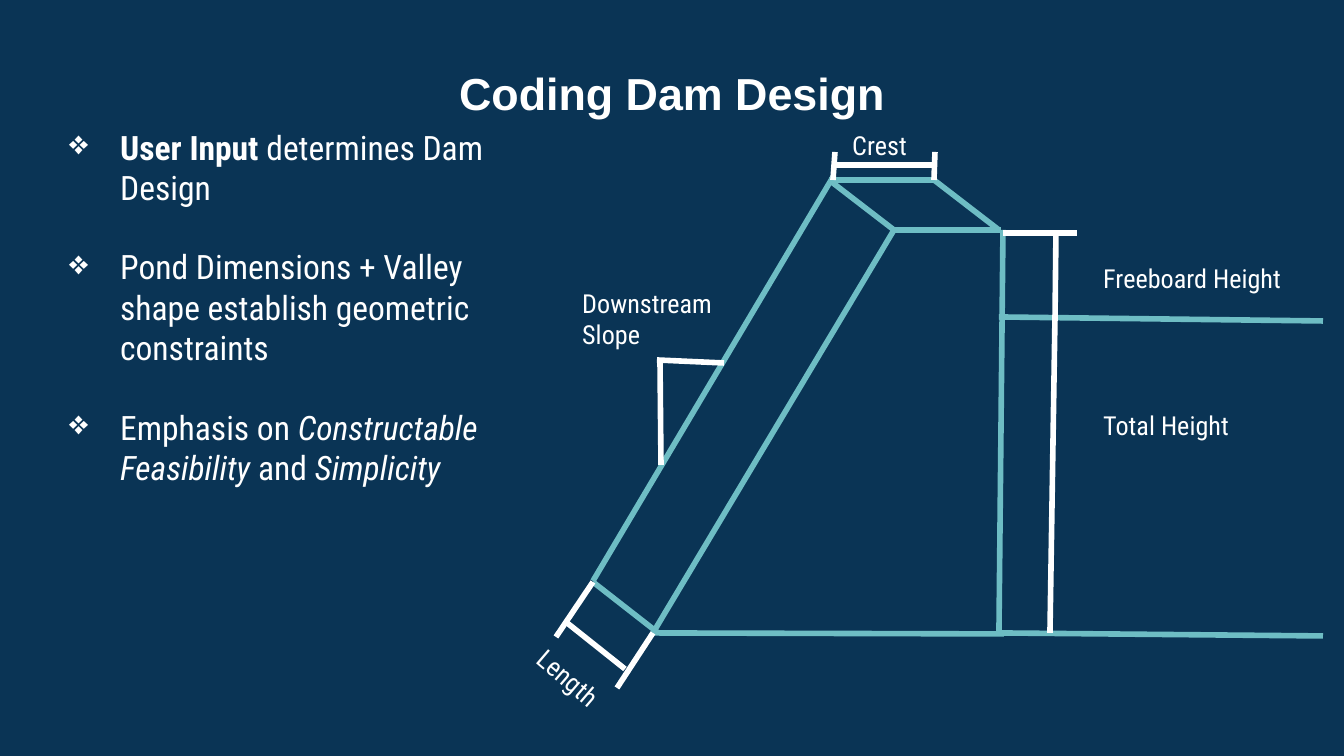
from lxml import etree
from pptx import Presentation
from pptx import util as u
from pptx.dml.color import RGBColor
from pptx.enum import shapes, text
from pptx.oxml.ns import qn

PX = 914400 / 134.4
NAVY = RGBColor(0x0A, 0x34, 0x55)
TEAL = RGBColor(0x6E, 0xBD, 0xC4)
WHITE = RGBColor(0xFF, 0xFF, 0xFF)
BODY_FONT = "Roboto Condensed"

DAM_EDGES = [
    (1003, 230, 999, 633),    # upstream face
    (1001, 230, 894, 230),    # front of crest
    (653, 633, 894, 230),     # front of downstream face
    (653, 633, 1004, 634),    # base
    (657, 632, 593, 582),     # toe
    (894, 230, 829, 180),     # left side of crest
    (999, 230, 934, 180),     # right side of crest
    (937, 180, 829, 180),     # back of crest
    (593, 581, 833, 177),     # back of downstream face
    (1323, 321, 999, 317),    # water level
    (1323, 636, 999, 633),    # pond floor
]
DIMENSION_LINES = [
    (1055, 321, 1056, 231),   # freeboard height
    (1003, 233, 1077, 233),   # top of dam
    (1050, 633, 1055, 317),   # rest of total height
    (617, 688, 653, 633),     # length, front tick
    (556, 637, 593, 582),     # length, back tick
    (566, 622, 625, 669),     # length
    (657, 360, 724, 363),     # slope run
    (660, 360, 661, 465),     # slope rise
    (934, 180, 935, 152),     # crest, right tick
    (833, 180, 835, 152),     # crest, left tick
    (836, 165, 935, 165),     # crest
]
LABELS = [
    ("Freeboard Height", (1090, 249, 219, 50), 0),
    ("Total Height", (1090, 396, 219, 50), 0),
    ("Length", (521, 653, 108, 50), 40.5),
    ("Downstream Slope", (569, 274, 208, 50), 0),
    ("Crest", (839, 116, 101, 28), 0),
]
POINTS = [
    [("User Input", "b"), (" determines Dam Design", "")],
    [("Pond Dimensions + Valley shape establish geometric constraints", "")],
    [("Emphasis on ", ""), ("Constructable Feasibility", "i"),
     (" and ", ""), ("Simplicity", "i")],
]


def px(n):
    return u.Emu(round(n * PX))


def add_line(s, ends, color):
    c = s.shapes.add_connector(shapes.MSO_CONNECTOR.STRAIGHT, *map(px, ends))
    c.line.color.rgb = color
    c.line.width = u.Pt(3)
    etree.SubElement(c._element.spPr, qn("a:effectLst"))


def add_bullet(p):
    pPr = p._p.get_or_add_pPr()
    pPr.set("marL", str(px(67)))
    pPr.set("indent", str(px(-51)))
    color = etree.SubElement(pPr, qn("a:buClr"))
    etree.SubElement(color, qn("a:srgbClr"), val=str(WHITE))
    etree.SubElement(pPr, qn("a:buChar"), char="❖")


def add_text(s, paragraphs, box, size=14, font=BODY_FONT, align=None,
             bullets=False, gap=0, rotation=0):
    """Add a text box; each paragraph is a list of (words, style) runs."""
    sp = s.shapes.add_textbox(*map(px, box))
    sp.rotation = rotation
    tf = sp.text_frame
    tf.word_wrap = True
    tf.vertical_anchor = text.MSO_ANCHOR.TOP
    tf.margin_left = tf.margin_right = u.Inches(0.1)
    tf.margin_top = tf.margin_bottom = u.Inches(0.1)
    for i, runs in enumerate(paragraphs):
        p = tf.add_paragraph() if i else tf.paragraphs[0]
        if bullets:
            add_bullet(p)
        if align is not None:
            p.alignment = align
        if i:
            p.space_before = u.Pt(gap)
        for words, style in runs:
            r = p.add_run()
            r.text = words
            r.font.name = font
            r.font.size = u.Pt(size)
            r.font.color.rgb = WHITE
            r.font.bold = style == "b"
            r.font.italic = style == "i"


def main():
    prs = Presentation()
    prs.slide_width, prs.slide_height = px(1344), px(756)
    s = prs.slides.add_slide(prs.slide_layouts[6])
    s.background.fill.solid()
    s.background.fill.fore_color.rgb = NAVY

    add_text(s, [[("Coding Dam Design", "b")]], (289, 52, 766, 138),
             size=24, font="Arial", align=text.PP_ALIGN.CENTER)
    add_text(s, POINTS, (40, 113, 474, 374), size=18, bullets=True, gap=21)
    for ends in DAM_EDGES:
        add_line(s, ends, TEAL)
    for ends in DIMENSION_LINES:
        add_line(s, ends, WHITE)
    for words, box, rotation in LABELS:
        add_text(s, [[(words, "")]], box, rotation=rotation)
    prs.save("out.pptx")


if __name__ == "__main__":
    main()
